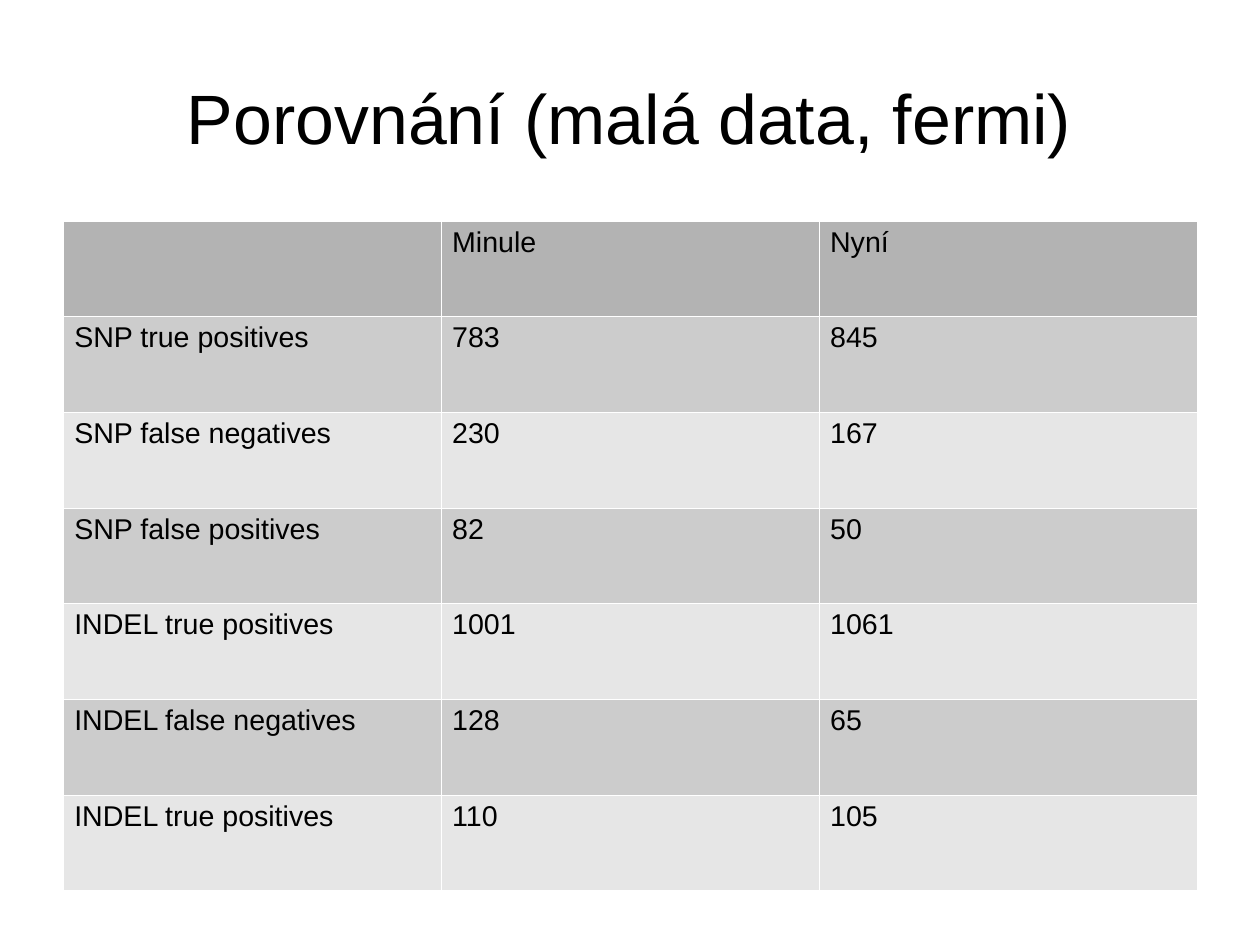
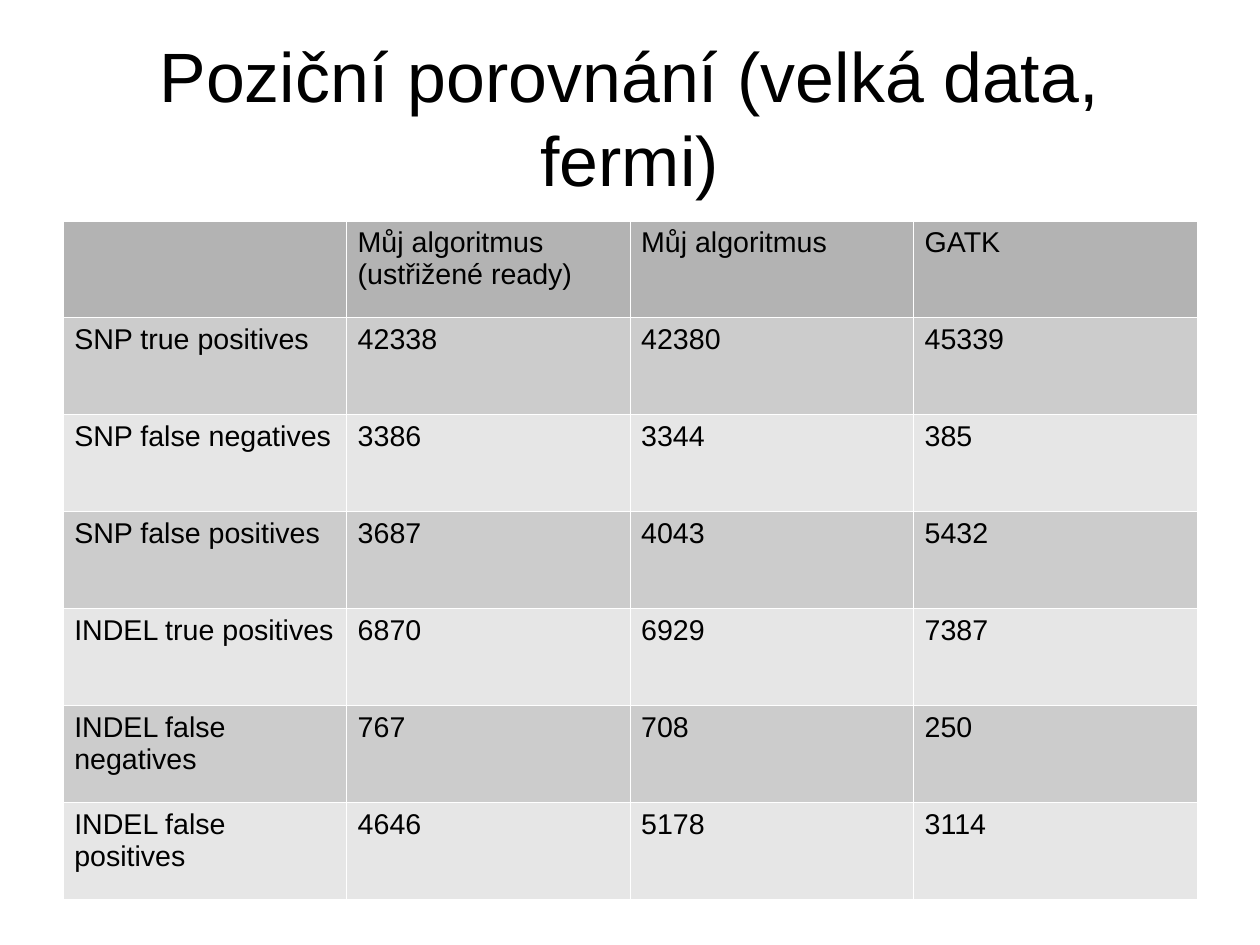
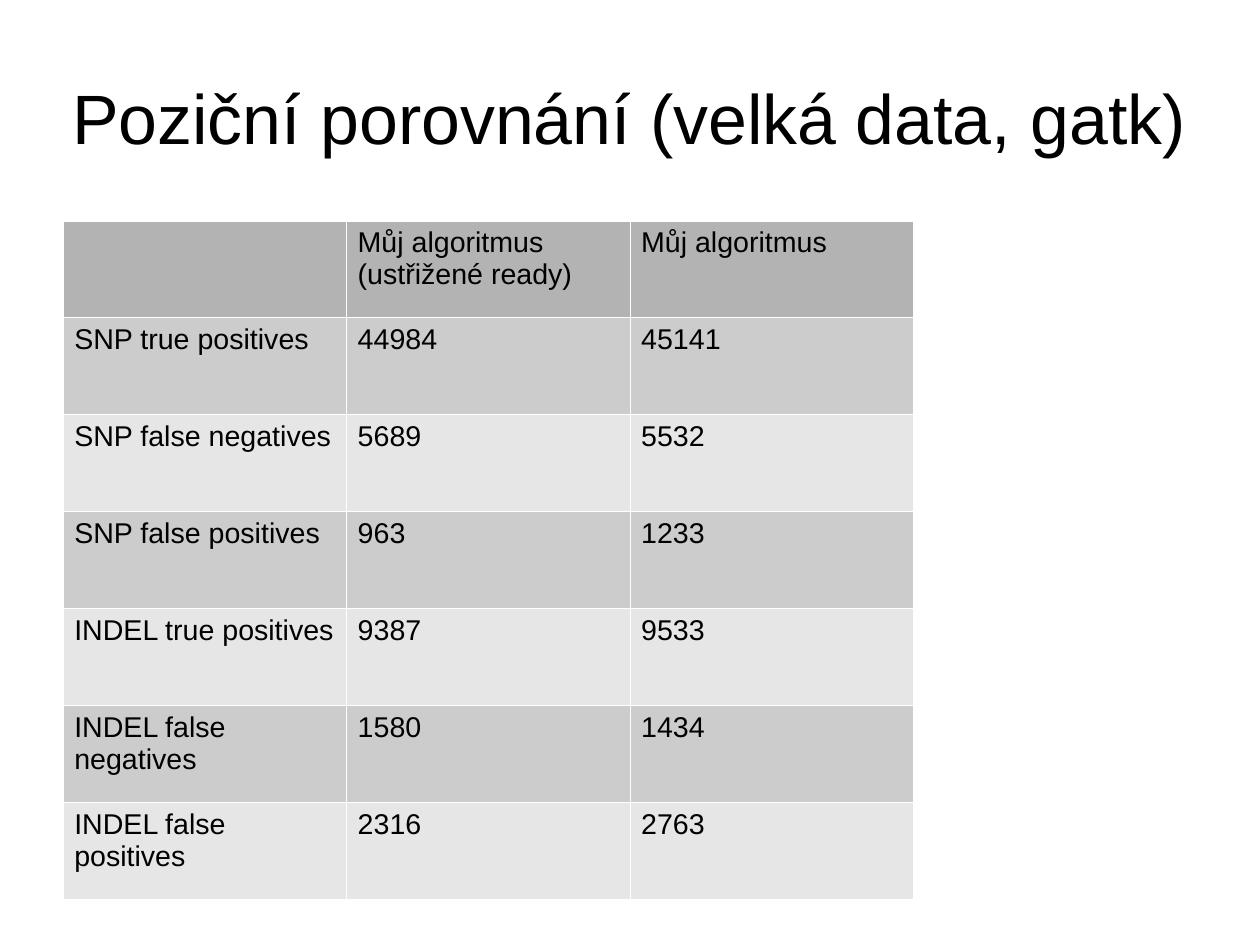
import pptx
import pptx.dml.color
import pptx.enum.text
import pptx.oxml
import pptx.oxml.ns
import pptx.util
from pptx.util import Inches

FONT = "Arial"
COLORS = {"text": "000000", "header": "B3B3B3", "odd": "CCCCCC", "even": "E6E6E6", "border": "FFFFFF"}
LEFT, FULL_WIDTH = 0.55, 9.92
TITLE_TOP, TITLE_HEIGHT = 0.33, 1.38
TABLE_TOP = 1.93

TRIMMED = "Můj algoritmus (ustřižené ready)"
UNTRIMMED = "Můj algoritmus"

# Title, table width, table height, rows
SLIDES = [
    ("Porovnání (malá data, fermi)", FULL_WIDTH, 5.86, [
        ("", "Minule", "Nyní"),
        ("SNP true positives", "783", "845"),
        ("SNP false negatives", "230", "167"),
        ("SNP false positives", "82", "50"),
        ("INDEL true positives", "1001", "1061"),
        ("INDEL false negatives", "128", "65"),
        ("INDEL true positives", "110", "105"),
    ]),
    ("Poziční porovnání (velká data, fermi)", FULL_WIDTH, 5.94, [
        ("", TRIMMED, UNTRIMMED, "GATK"),
        ("SNP true positives", "42338", "42380", "45339"),
        ("SNP false negatives", "3386", "3344", "385"),
        ("SNP false positives", "3687", "4043", "5432"),
        ("INDEL true positives", "6870", "6929", "7387"),
        ("INDEL false negatives", "767", "708", "250"),
        ("INDEL false positives", "4646", "5178", "3114"),
    ]),
    ("Poziční porovnání (velká data, gatk)", FULL_WIDTH * 3 / 4, 5.94, [
        ("", TRIMMED, UNTRIMMED),
        ("SNP true positives", "44984", "45141"),
        ("SNP false negatives", "5689", "5532"),
        ("SNP false positives", "963", "1233"),
        ("INDEL true positives", "9387", "9533"),
        ("INDEL false negatives", "1580", "1434"),
        ("INDEL false positives", "2316", "2763"),
    ]),
]


def set_font(p, size):
    p.font.name = FONT
    p.font.size = pptx.util.Pt(size)
    p.font.bold = False
    p.font.color.rgb = pptx.dml.color.RGBColor.from_string(COLORS["text"])


def add_borders(cell):
    """Put a hairline on all four sides; call before setting the fill."""
    for side in ("lnL", "lnR", "lnT", "lnB"):
        cell._tc.get_or_add_tcPr().append(pptx.oxml.parse_xml(
            f'<a:{side} {pptx.oxml.ns.nsdecls("a")} w="{pptx.util.Pt(0.06)}">'
            f'<a:solidFill><a:srgbClr val="{COLORS["border"]}"/></a:solidFill></a:{side}>'))


prs = pptx.Presentation()
prs.slide_width = pptx.util.Cm(28)
prs.slide_height = pptx.util.Cm(21)

for title, width, height, rows in SLIDES:
    s = prs.slides.add_slide(prs.slide_layouts[5])

    sp = s.shapes.title
    sp.left, sp.top = Inches(LEFT), Inches(TITLE_TOP)
    sp.width, sp.height = Inches(FULL_WIDTH), Inches(TITLE_HEIGHT)
    tf = sp.text_frame
    tf.text = title
    tf.word_wrap = True
    tf.auto_size = pptx.enum.text.MSO_AUTO_SIZE.NONE
    tf.vertical_anchor = pptx.enum.text.MSO_ANCHOR.MIDDLE
    tf.margin_left = tf.margin_top = tf.margin_right = tf.margin_bottom = 0
    p = tf.paragraphs[0]
    p.alignment = pptx.enum.text.PP_ALIGN.CENTER
    set_font(p, 44)

    table = s.shapes.add_table(len(rows), len(rows[0]), Inches(LEFT), Inches(TABLE_TOP),
                               Inches(width), Inches(height)).table
    table.horz_banding = False
    for i, row in enumerate(rows):
        band = "header" if i == 0 else "odd" if i % 2 else "even"
        for j, text in enumerate(row):
            cell = table.cell(i, j)
            cell.text = text
            set_font(cell.text_frame.paragraphs[0], 18)
            add_borders(cell)
            cell.fill.solid()
            cell.fill.fore_color.rgb = pptx.dml.color.RGBColor.from_string(COLORS[band])

prs.save("out.pptx")
